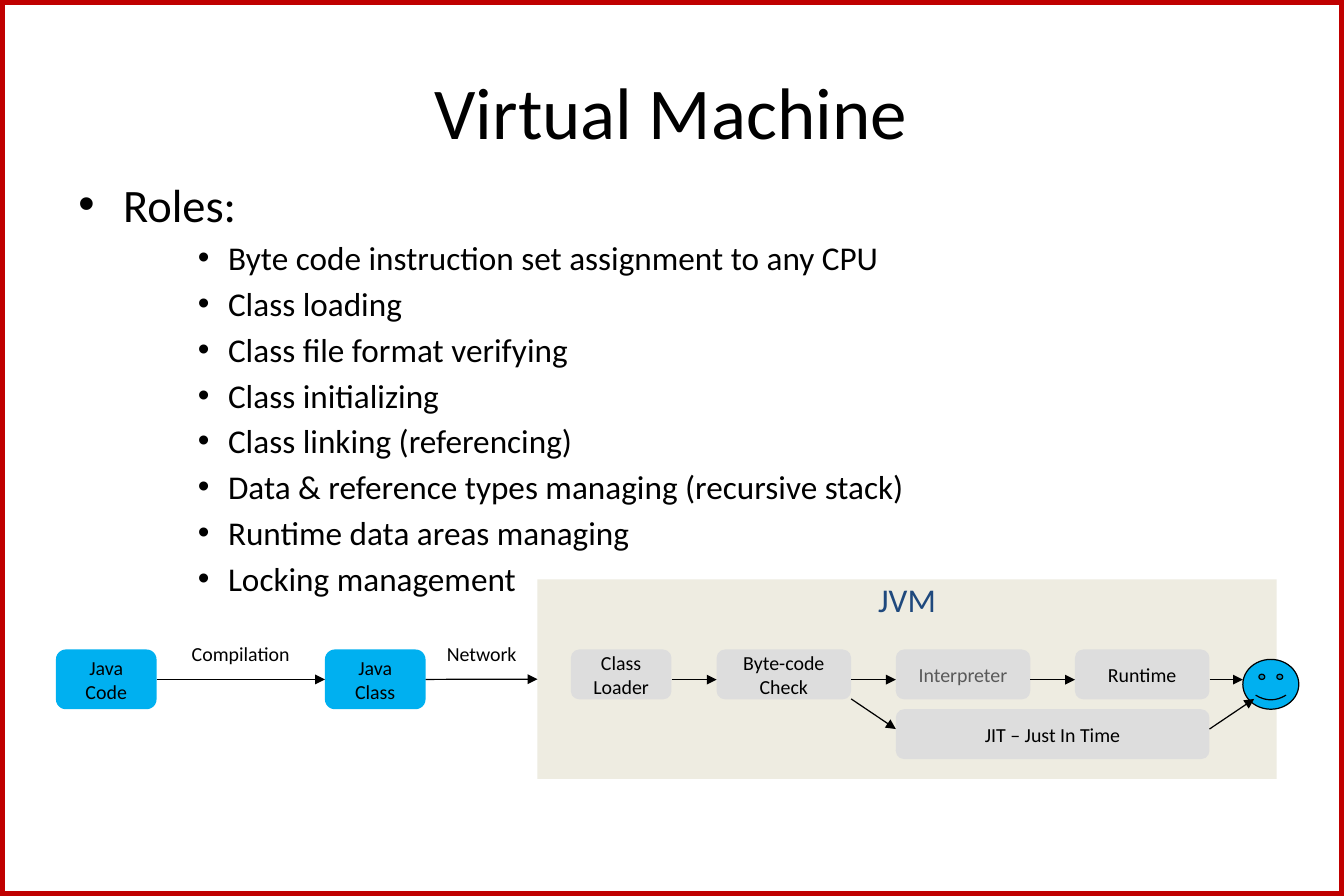
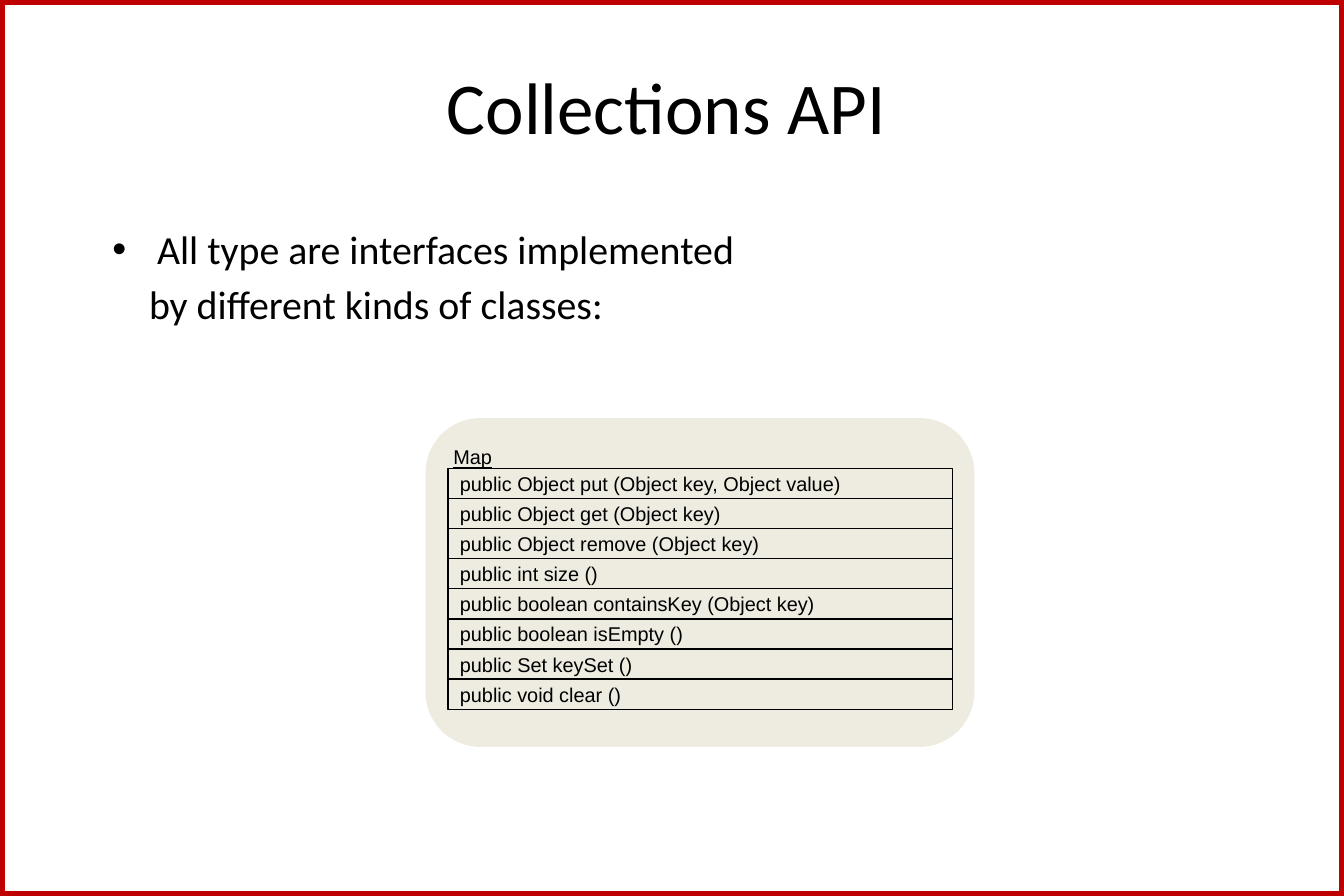
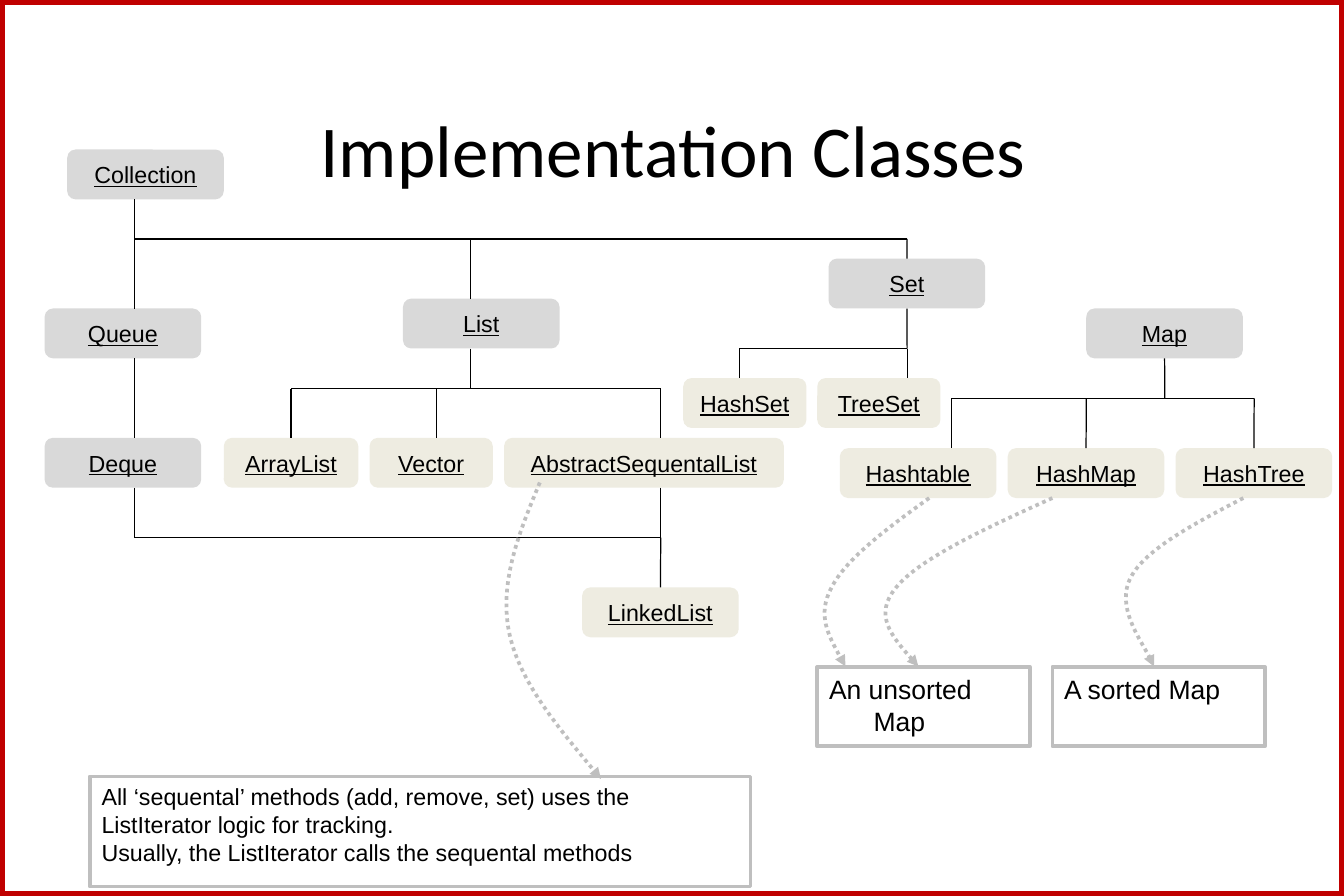
from itertools import pairwise

from lxml import etree
from pptx import Presentation
from pptx import util as u
from pptx.dml.color import RGBColor
from pptx.enum import dml, shapes, text
from pptx.oxml.ns import qn

Cm, Pt = u.Cm, u.Pt
BLACK, WHITE, RED = "000000", "FFFFFF", "C00000"
BLUE, NAVY = "00B0F0", "1F497D"
CREAM, GREY, PALE, SILVER, DIM = "EEECE1", "D9D9D9", "DDDDDD", "BFBFBF", "595959"
WIDTH, HEIGHT = 28.58, 19.05
BOX_H = 1.06
RECT = shapes.MSO_SHAPE.RECTANGLE
ROUNDED = shapes.MSO_SHAPE.FLOWCHART_ALTERNATE_PROCESS
LEFT, CENTER = text.PP_ALIGN.LEFT, text.PP_ALIGN.CENTER
TOP, MIDDLE = text.MSO_ANCHOR.TOP, text.MSO_ANCHOR.MIDDLE


# ---- formatting ----
def rgb(hex_code):
    return RGBColor.from_string(hex_code)


def set_all(target, **values):
    for name, value in values.items():
        setattr(target, name, value)


def add_run(p, words, size, font="Calibri", color=BLACK, underline=None):
    r = p.add_run()
    r.text = words
    set_all(r.font, size=Pt(size), name=font, underline=underline)
    r.font.color.rgb = rgb(color)


def write(tf, words, align=CENTER, hang=0, **font):
    """One paragraph per line of words."""
    for i, line in enumerate(words.split("\n")):
        p = tf.add_paragraph() if i else tf.paragraphs[0]
        p.alignment = align
        indent(p, hang, -hang)
        add_run(p, line, **font)


def indent(p, margin, first, bullet=False):
    pPr = p._p.get_or_add_pPr()
    pPr.set("marL", str(Cm(margin)))
    pPr.set("indent", str(Cm(first)))
    if bullet:
        etree.SubElement(pPr, qn("a:buFont")).set("typeface", "Arial")
        etree.SubElement(pPr, qn("a:buChar")).set("char", "•")


def outline(shape, color, width, dash=None, arrow=False):
    shape.line.color.rgb = rgb(color)
    shape.line.width = Pt(width)
    if dash:
        shape.line.dash_style = dash
    if arrow:
        ln = shape._element.spPr.find(qn("a:ln"))
        etree.SubElement(ln, qn("a:tailEnd")).set("type", "triangle")


# ---- elements ----
def add_box(s, kind, place, fill=None, line=None, words="", anchor=MIDDLE,
            wrap=False, margin_top=None, **style):
    sp = s.shapes.add_shape(kind, *map(Cm, place))
    sp.shadow.inherit = False
    if fill:
        sp.fill.solid()
        sp.fill.fore_color.rgb = rgb(fill)
    else:
        sp.fill.background()
    if line:
        outline(sp, *line)
    else:
        sp.line.fill.background()
    if words:
        tf = sp.text_frame
        set_all(tf, vertical_anchor=anchor, word_wrap=wrap)
        if margin_top is not None:
            tf.margin_top = Cm(margin_top)
        write(tf, words, **style)
    return sp


def add_line(s, start, end, boxes=(), arrow=False):
    """Straight line, joined to any box whose side middle it touches."""
    c = s.shapes.add_connector(shapes.MSO_CONNECTOR.STRAIGHT, *map(Cm, start + end))
    outline(c, BLACK, 0.75, arrow=arrow)
    etree.SubElement(c._element.spPr, qn("a:effectLst"))
    for (x, y), join in ((start, c.begin_connect), (end, c.end_connect)):
        for b in boxes:
            mid_x, mid_y = b.left + b.width / 2, b.top + b.height / 2
            sides = ((mid_x, b.top), (b.left, mid_y),
                     (mid_x, b.top + b.height), (b.left + b.width, mid_y))
            for site, (sx, sy) in enumerate(sides):
                if max(abs(Cm(x) - sx), abs(Cm(y) - sy)) < Cm(0.05):
                    join(b, site)


def add_fork(s, x, top, bus, drops, boxes):
    """Stem from a parent, a horizontal bus, and drops {x: bottom}."""
    ends = [x, *drops]
    add_line(s, (x, top), (x, bus), boxes)
    add_line(s, (min(ends), bus), (max(ends), bus))
    for drop_x, bottom in drops.items():
        add_line(s, (drop_x, bus), (drop_x, bottom), boxes)


def add_curve(s, *points):
    """Dotted Bezier arrow: a start, then three points per segment."""
    (x, y), *rest = [(Cm(a), Cm(b)) for a, b in points]
    builder = s.shapes.build_freeform(x, y)
    builder.add_line_segments(rest, close=False)
    sp = builder.convert_to_shape()
    sp.shadow.inherit = False
    sp.fill.background()
    outline(sp, SILVER, 2.25, dml.MSO_LINE.ROUND_DOT, arrow=True)
    # Turn each three straight steps into one cubic segment
    steps = list(sp._element.iter(qn("a:lnTo")))
    for i in range(0, len(steps), 3):
        cubic = etree.SubElement(steps[i].getparent(), qn("a:cubicBezTo"))
        for step in steps[i:i + 3]:
            cubic.append(step[0])
            step.getparent().remove(step)


def add_list(s, place, items):
    """Items are (words, size, margin, first-line indent, bullet)."""
    tf = s.shapes.add_textbox(*map(Cm, place)).text_frame
    tf.word_wrap = True
    for i, (words, size, margin, first, bullet) in enumerate(items):
        p = tf.add_paragraph() if i else tf.paragraphs[0]
        if i:
            p.space_before = Pt(0.18 * size)
        indent(p, margin, first, bullet)
        add_run(p, words, size)


def add_slide(prs, title, place):
    s = prs.slides.add_slide(prs.slide_layouts[5])
    sp = s.shapes.title
    set_all(sp, **dict(zip(("left", "top", "width", "height"), map(Cm, place))))
    sp.text_frame.vertical_anchor = MIDDLE
    write(sp.text_frame, title, size=44)
    return s


def add_master_border(prs, s):
    border = add_box(s, RECT, (0, 0, WIDTH, HEIGHT), line=(RED, 5.5))
    prs.slide_master.shapes._spTree.insert(2, border._element)


# ---- slides ----
def virtual_machine(prs):
    s = add_slide(prs, "Virtual Machine", (1.42, 0.76, 25.7, 3.18))
    add_master_border(prs, s)
    roles = ("Byte code instruction set assignment to any CPU", "Class loading",
             "Class file format verifying", "Class initializing",
             "Class linking (referencing)",
             "Data & reference types managing (recursive stack)",
             "Runtime data areas managing", "Locking management")
    add_list(s, (1.42, 3.61, 25.7, 12.57),
             [("Roles:", 28, 0.95, -0.95, True)]
             + [(role, 20, 3.18, -0.64, True) for role in roles])

    # Execution chain, left to right
    jvm = add_box(s, RECT, (11.43, 12.32, 15.72, 4.24), CREAM, words="JVM",
                  anchor=TOP, margin_top=0, size=20, color=NAVY)
    row, flow = 13.81, 14.45
    chain = (("Java\nCode", 1.19, 2.14, 1.27, BLUE, BLACK),
             ("Java\nClass", 6.91, 2.14, 1.27, BLUE, BLACK),
             ("Class\nLoader", 12.14, 2.14, BOX_H, PALE, BLACK),
             ("Byte-code\nCheck", 15.24, 2.86, BOX_H, PALE, BLACK),
             ("Interpreter", 19.05, 2.86, BOX_H, PALE, DIM),
             ("Runtime", 22.86, 2.86, BOX_H, PALE, BLACK))
    boxes = [jvm]
    for words, x, w, h, fill, color in chain:
        boxes.append(add_box(s, ROUNDED, (x, row, w, h), fill, words=words,
                             size=12, color=color))
    add_box(s, ROUNDED, (19.05, 15.08, 6.67, BOX_H), PALE,
            words="JIT – Just In Time", size=12)
    add_box(s, shapes.MSO_SHAPE.SMILEY_FACE, (26.43, 14.02, 1.19, BOX_H),
            BLUE, (BLACK, 0.75))
    for words, x, w in (("Compilation", 3.57, 3.1), ("Network", 9.29, 1.91)):
        add_box(s, RECT, (x, 13.58, w, 0.64), WHITE, words=words, size=12)

    # Arrows: along the chain, then around through the JIT box
    spans = [(x, x + w) for _, x, w, *_ in chain]
    spans.insert(2, (11.43, 12.14))
    spans.append((26.43, WIDTH))
    for i, ((_, start), (end, _)) in enumerate(pairwise(spans)):
        if i != 2:  # the JVM frame touches its first box without an arrow
            add_line(s, (start, flow), (end, flow), boxes, arrow=True)
    add_line(s, (18.1, 14.86), (19.05, 15.5), arrow=True)
    add_line(s, (25.72, 15.5), (26.67, 14.86), arrow=True)


def collections_api(prs):
    s = add_slide(prs, "Collections API", (0, 0.64, 28.35, 3.18))
    add_list(s, (2.14, 4.65, 25.96, 11.43),
             [("All type are interfaces implemented", 24, 0.95, -0.95, True),
              ("by different kinds of classes:", 24, 0.78, 0, False)])
    add_box(s, ROUNDED, (9.05, 8.89, 11.67, 6.99), CREAM, words="Map",
            anchor=TOP, margin_top=0.23, align=LEFT,
            size=12, font="Arial", underline=True)
    methods = ("public Object put (Object key, Object value)",
               "public Object get (Object key)",
               "public Object remove (Object key)", "public int size ()",
               "public boolean containsKey (Object key)",
               "public boolean isEmpty ()", "public Set keySet ()",
               "public void clear ()")
    row_h = 0.64
    for i, method in enumerate(methods):
        add_box(s, RECT, (9.53, 9.96 + i * row_h, 10.72, row_h),
                line=(BLACK, 0.75), words=method, align=LEFT,
                size=12, font="Arial")


def implementation_classes(prs):
    s = add_slide(prs, "Implementation Classes", (1.47, 1.57, 25.7, 3.18))

    # Interfaces and classes
    wide, narrow = 3.33, 2.62
    interfaces = (("Collection", 1.43, 3.18, wide), ("Queue", 0.95, 6.56, wide),
                  ("Deque", 0.95, 9.31, wide), ("List", 8.57, 6.35, wide),
                  ("Set", 17.62, 5.5, wide), ("Map", 23.1, 6.56, wide))
    classes = (("ArrayList", 4.76, 9.31, 2.86), ("Vector", 7.86, 9.31, narrow),
               ("AbstractSequentalList", 10.72, 9.31, 5.95),
               ("LinkedList", 12.38, 12.49, wide),
               ("HashSet", 14.53, 8.04, narrow), ("TreeSet", 17.38, 8.04, narrow),
               ("Hashtable", 17.86, 9.53, wide), ("HashMap", 21.43, 9.53, wide),
               ("HashTree", 25, 9.53, wide))
    boxes = [add_box(s, ROUNDED, (x, y, w, BOX_H), fill, words=name,
                     size=14, font="Arial", underline=True)
             for fill, group in ((GREY, interfaces), (CREAM, classes))
             for name, x, y, w in group]

    # Inheritance lines
    queue_x, list_x, set_x, linked_x = 2.86, 10, 19.29, 14.05
    forks = ((queue_x, 4.24, 5.08, {queue_x: 6.56, list_x: 6.35, set_x: 5.5}),
             (list_x, 7.41, 8.26, {6.19: 9.31, 9.29: 9.31, linked_x: 9.31}),
             (set_x, 6.56, 7.41, {15.72: 8.04, set_x: 8.04}),
             (24.77, 7.62, 8.47, {20.24: 9.53, 23.1: 9.53, 26.67: 9.53}),
             (queue_x, 10.37, 11.43, {linked_x: 12.49}))
    for fork in forks:
        add_fork(s, *fork, boxes)
    add_line(s, (queue_x, 7.62), (queue_x, 9.31))
    add_line(s, (linked_x, 10.37), (linked_x, 11.43))

    # Notes and the dotted arrows that lead to them
    notes = (("All ‘sequental’ methods (add, remove, set) uses the\n"
              "ListIterator logic for tracking.\n"
              "Usually, the ListIterator calls the sequental methods",
              (1.91, 16.51, 14.05, 2.34), 14),
             ("An unsorted Map", (17.38, 14.18, 4.52, 1.69), 16),
             ("A sorted Map", (22.38, 14.18, 4.52, 1.69), 16))
    for words, place, size in notes:
        add_box(s, RECT, place, line=(SILVER, 2.25), words=words, anchor=TOP,
                wrap=True, align=LEFT, hang=0.95, size=size, font="Arial")
    add_curve(s, (11.48, 10.26), (11.05, 11.3), (10.62, 12.34), (10.82, 13.41),
              (11.02, 14.45), (11.91, 15.52), (12.78, 16.56))
    add_curve(s, (22.38, 10.59), (20.96, 11.23), (19.53, 11.89), (19.05, 12.5),
              (18.57, 13.08), (19.05, 13.64), (19.53, 14.17))
    add_curve(s, (26.44, 10.59), (25.4, 11.13), (24.36, 11.68), (24.05, 12.27),
              (23.72, 12.88), (24.43, 13.87), (24.54, 14.17))
    add_curve(s, (19.76, 10.59), (18.87, 11.23), (17.98, 11.89), (17.68, 12.5),
              (17.37, 13.08), (17.68, 13.64), (17.98, 14.17))


def main():
    prs = Presentation()
    set_all(prs, slide_width=Cm(WIDTH), slide_height=Cm(HEIGHT))
    virtual_machine(prs)
    collections_api(prs)
    implementation_classes(prs)
    prs.save("out.pptx")


if __name__ == "__main__":
    main()
